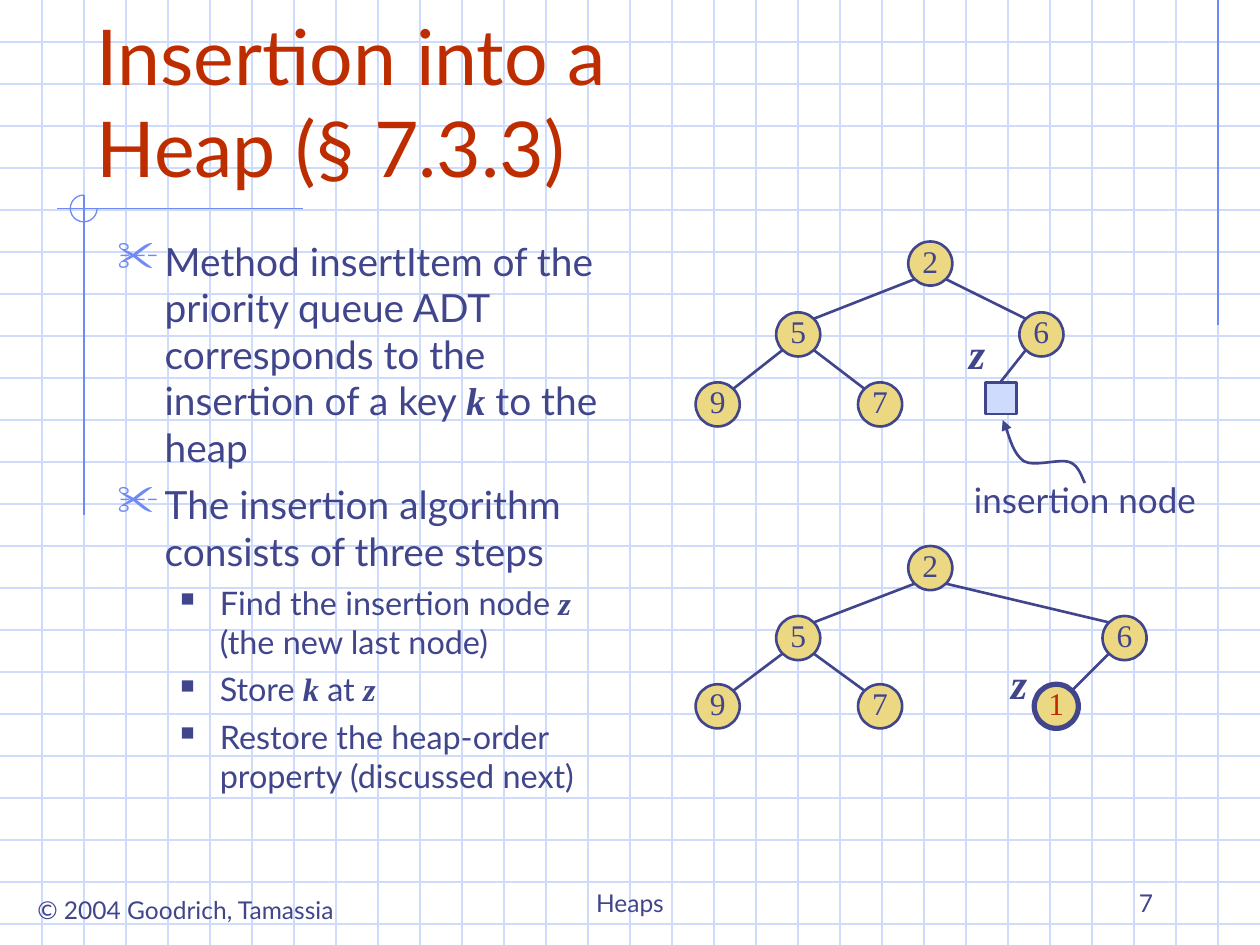
from lxml import etree
from pptx import Presentation
from pptx.dml.color import RGBColor
from pptx.enum.shapes import MSO_CONNECTOR, MSO_SHAPE
from pptx.enum.text import MSO_ANCHOR, PP_ALIGN
from pptx.oxml.ns import qn
from pptx.util import Pt

LINE = MSO_CONNECTOR.STRAIGHT
OVAL, RECT, ARC = MSO_SHAPE.OVAL, MSO_SHAPE.RECTANGLE, MSO_SHAPE.ARC
TOP, MID, LOW = MSO_ANCHOR.TOP, MSO_ANCHOR.MIDDLE, MSO_ANCHOR.BOTTOM
LEFT, MIDST, RIGHT = PP_ALIGN.LEFT, PP_ALIGN.CENTER, PP_ALIGN.RIGHT

SANS, SERIF = "Lato", "Times New Roman"
INK, RED, GOLD = "40458C", "BE2D00", "ECD882"
PALE, BLUE = "CFDBFD", "6F89F7"
WIDE, HIGH, STEP = 720, 540, 24
NODE = 25.2
DIAG = NODE / 2 * 0.71  # offset of a node's diagonal edge point


def color(code):
    return RGBColor.from_string(code)


def sub(parent, tag, **attrs):
    return etree.SubElement(parent, qn(tag), attrs)


def write(para, text, size=18, tint=INK, font=SANS, math=False):
    """Add text; parts between asterisks are bold italic serif variables."""
    for i, part in enumerate(text.split("*")):
        if not part:
            continue
        var = math or i % 2 == 1
        run = para.add_run()
        run.text = part
        run.font.size = Pt(size)
        run.font.name = SERIF if var else font
        run.font.bold = run.font.italic = var
        run.font.color.rgb = color(tint)


def box(slide, x, y, w, h, text="", anchor=TOP, align=MIDST, wrap=True, **form):
    frame = slide.shapes.add_textbox(Pt(x), Pt(y), Pt(w), Pt(h)).text_frame
    frame.word_wrap = wrap
    frame.vertical_anchor = anchor
    para = frame.paragraphs[0]
    para.alignment = align
    write(para, text, **form)
    return frame


def line(slide, x1, y1, x2, y2, tint=INK, width=1.5):
    edge = slide.shapes.add_connector(LINE, Pt(x1), Pt(y1), Pt(x2), Pt(y2))
    edge.line.color.rgb = color(tint)
    edge.line.width = Pt(width)
    sub(edge._element.spPr, "a:effectLst")


def style(shape, fill=None, tint=INK, width=1.5):
    shape.shadow.inherit = False
    if fill:
        shape.fill.solid()
        shape.fill.fore_color.rgb = color(fill)
    else:
        shape.fill.background()
    shape.line.color.rgb = color(tint)
    shape.line.width = Pt(width)


def shape(slide, kind, x, y, w, h, **look):
    item = slide.shapes.add_shape(kind, Pt(x), Pt(y), Pt(w), Pt(h))
    style(item, **look)
    return item


def node(slide, x, y, key, tint=INK, width=1.5):
    frame = shape(slide, OVAL, x, y, NODE, NODE, fill=GOLD, width=width).text_frame
    frame.word_wrap = False
    frame.vertical_anchor = MID
    frame.margin_left = frame.margin_right = frame.margin_top = 0
    frame.margin_bottom = Pt(3.6)
    frame.paragraphs[0].alignment = MIDST
    write(frame.paragraphs[0], key, tint=tint, font=SERIF)


def link(slide, up, down):
    """Join a parent to its child at their facing diagonal points."""
    side = 1 if down[0] > up[0] else -1
    half = NODE / 2
    line(slide, up[0] + half + side * DIAG, up[1] + half + DIAG,
         down[0] + half - side * DIAG, down[1] + half - DIAG)


def curve(slide, start, points):
    """Draw an arrow of cubic curves, three points to each curve."""
    pen = slide.shapes.build_freeform(Pt(start[0]), Pt(start[1]))
    pen.add_line_segments([(Pt(x), Pt(y)) for x, y in points], close=False)
    item = pen.convert_to_shape()
    style(item)
    sub(item.line._get_or_add_ln(), "a:tailEnd", type="triangle")
    track = next(item._element.iter(qn("a:lnTo"))).getparent()
    for i, step in enumerate(track.findall(qn("a:lnTo"))):
        if i % 3 == 0:
            bend = sub(track, "a:cubicBezTo")
        bend.append(step[0])
        track.remove(step)


def bullet(para, text, sign, tint, scale, indent, hang, before, size):
    para.space_before = Pt(before)
    props = para._p.get_or_add_pPr()
    props.set("marL", str(Pt(indent)))
    props.set("indent", str(-Pt(hang)))
    sub(sub(props, "a:buClr"), "a:srgbClr", val=tint)
    sub(props, "a:buSzPct", val=str(scale * 1000))
    sub(props, "a:buChar", char=sign)
    write(para, text, size=size)


def paper(slide):
    for y in range(STEP, HIGH, STEP):
        line(slide, 0, y, WIDE, y, PALE, 0.75)
    for x in range(STEP, WIDE, STEP):
        line(slide, x, 0, x, HIGH, PALE, 0.75)
    # Margin lines and the ring where they cross
    for ends in ((696, 0, 696, 186), (173, 119.3, 32.4, 119.3),
                 (48, 111.6, 48, 294.5)):
        line(slide, *ends, BLUE, 0.75)
    ring = shape(slide, ARC, 40.2, 111.5, 15.3, 15.3, tint=BLUE, width=0.75)
    ring.adjustments[0] = 0
    ring.adjustments[1] = 162  # 270 degrees


def body(slide):
    main = dict(sign="✂", tint=BLUE, scale=110, indent=27, hang=27,
                before=6, size=22.2)
    sub_item = dict(sign="■", tint=INK, scale=60, indent=58.5, hang=22.5,
                    before=5, size=18.5)
    items = [
        ("Method insertItem of the priority queue ADT corresponds to the "
         "insertion of a key *k* to the heap", main),
        ("The insertion algorithm consists of three steps", main),
        ("Find the insertion node *z* (the new last node)", sub_item),
        ("Store *k* at *z*", sub_item),
        ("Restore the heap-order property (discussed next)", sub_item),
    ]
    frame = box(slide, 60, 132, 306, 366, align=LEFT)
    for i, (text, form) in enumerate(items):
        para = frame.add_paragraph() if i else frame.paragraphs[0]
        if form is sub_item:
            para.level = 1
        bullet(para, text, **form)


def heap(slide, rows, six):
    """Draw the keys both heaps share; return the place of key 6."""
    top, mid, low = rows
    spots = {"2": (519, top), "5": (443.5, mid), "6": (six, mid),
             "9": (397.5, low), "7": (490.3, low)}
    for up, down in ("25", "26", "59", "57"):
        link(slide, spots[up], spots[down])
    for key, spot in spots.items():
        node(slide, *spot, key)
    return spots["6"]


def main():
    deck = Presentation()
    deck.slide_width, deck.slide_height = Pt(WIDE), Pt(HIGH)
    slide = deck.slides.add_slide(deck.slide_layouts[6])
    paper(slide)

    # Footer, title and body
    box(slide, 8.6, 508, 195, 24.5, "© 2004 Goodrich, Tamassia", wrap=False, size=14)
    box(slide, 246, 492, 228, 36, "Heaps", anchor=LOW, size=14)
    box(slide, 516, 492, 150, 36, "7", anchor=LOW, align=RIGHT, size=14)
    box(slide, 48, 24, 396, 90, "Insertion into a Heap (§ 7.3.3)",
        anchor=LOW, align=LEFT, size=44, tint=RED)
    body(slide)

    # Upper heap with the empty insertion node
    x, y = heap(slide, (138, 178.5, 218.5), 582.5)
    line(slide, 572, 218, x + NODE / 2 - DIAG, y + NODE / 2 + DIAG)
    shape(slide, RECT, 563, 218.5, 18, 18, fill=PALE)
    curve(slide, (620, 276),
          [(618.5, 274), (617, 266), (611, 264), (605.5, 262), (591, 267),
           (585, 263.5), (579, 259), (575.5, 245), (573, 240)])
    box(slide, 544.5, 270, 151, 31.5, "insertion node", wrap=False, size=20)

    # Lower heap with the new key stored
    six = heap(slide, (312, 352, 391), 630)
    last = (591, 391)
    link(slide, six, last)
    node(slide, *last, "1", tint=RED, width=3)

    # Names of the insertion node
    for x, y in ((546.5, 183.5), (570.5, 372)):
        box(slide, x, y, 23.5, 36, "z", wrap=False, size=24, math=True)

    deck.save("out.pptx")


if __name__ == "__main__":
    main()
